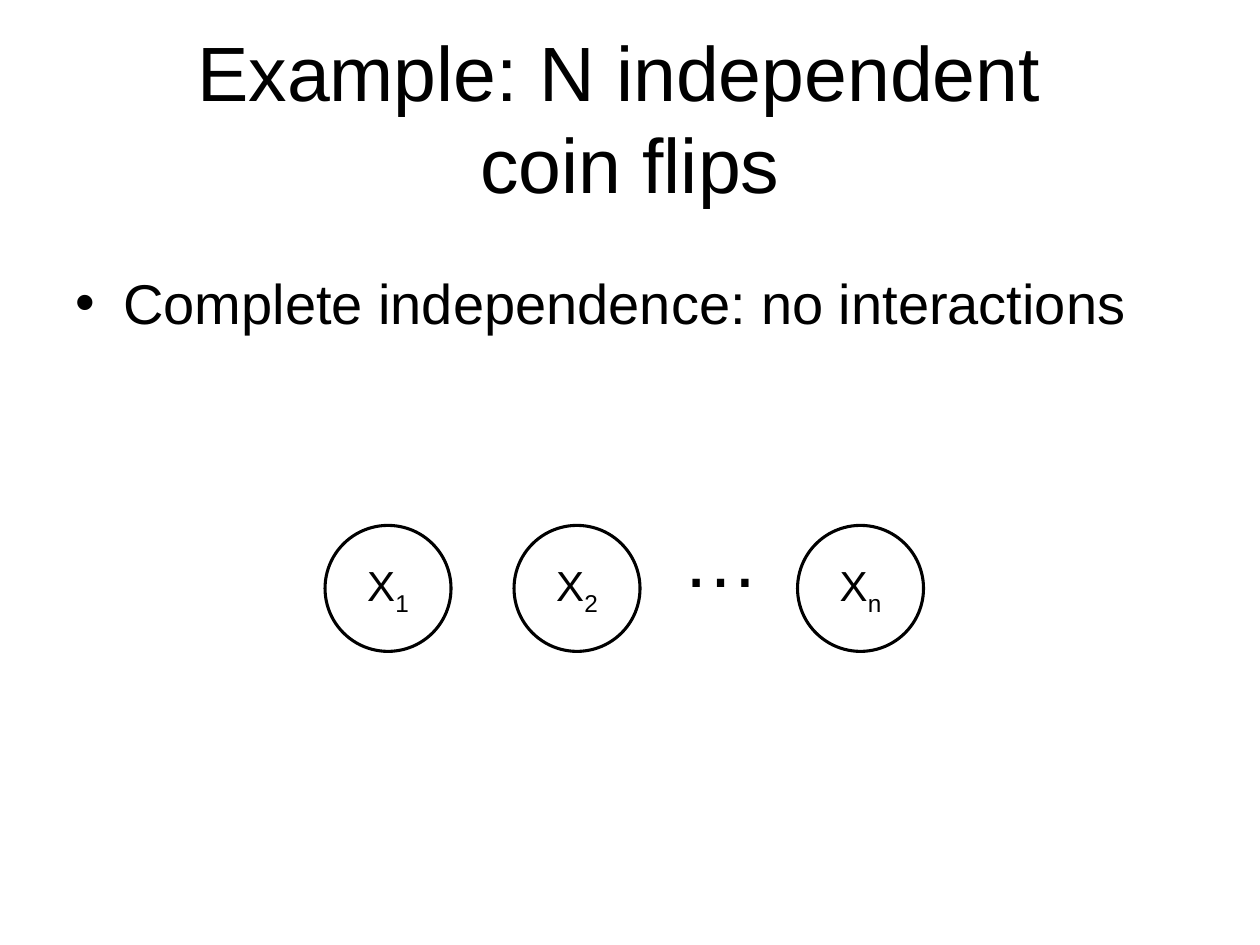
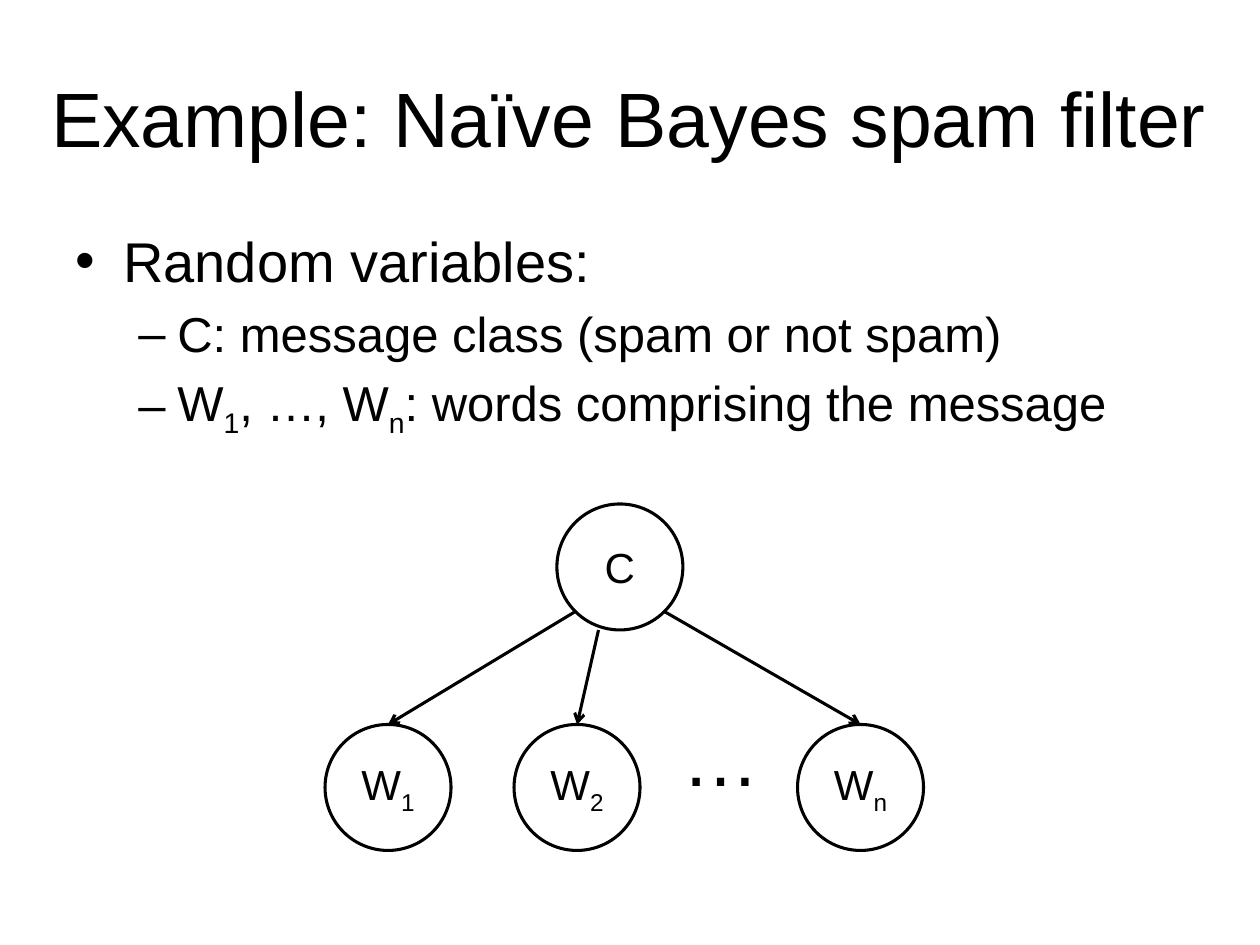
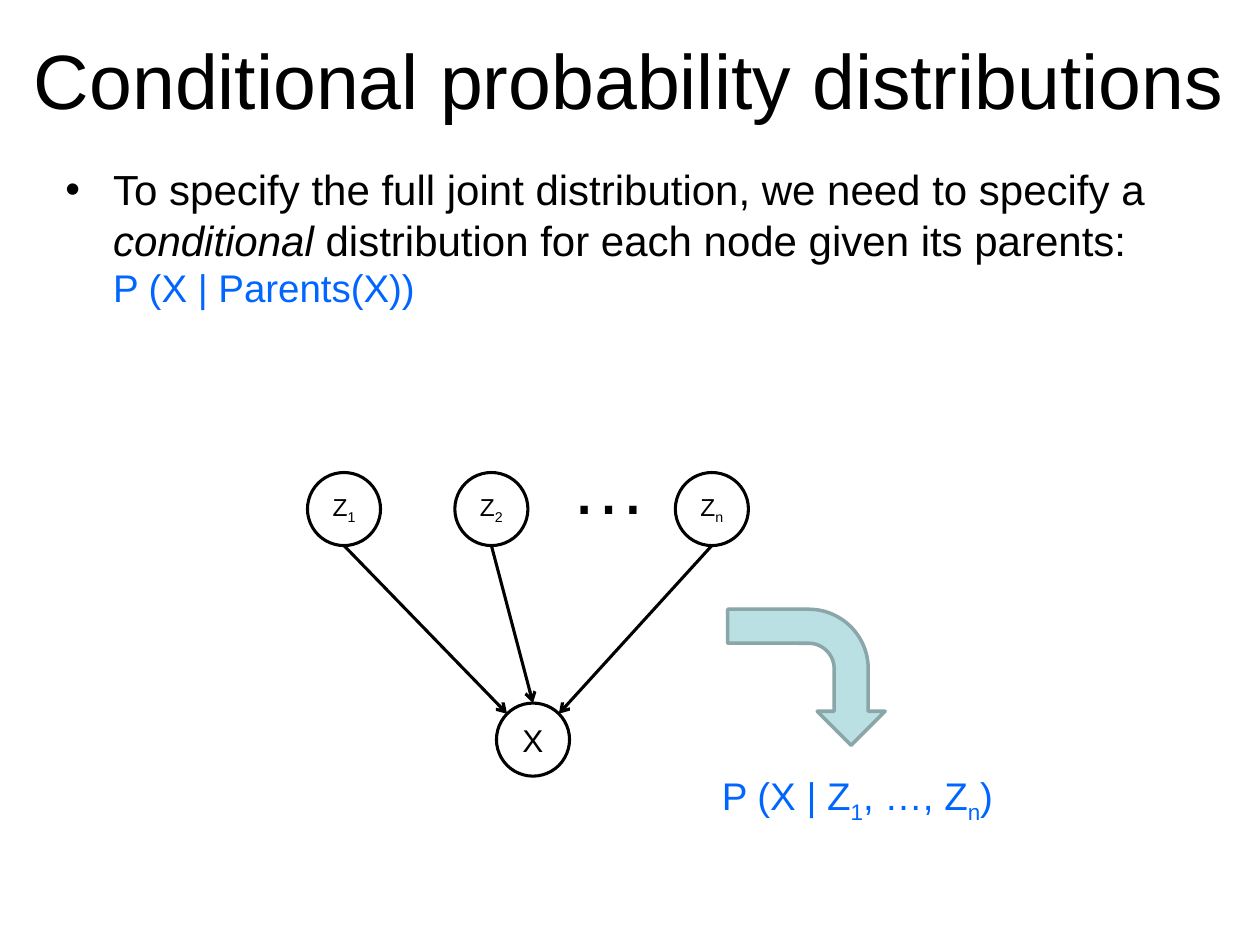
import math

import pptx
import pptx.dml.color
import pptx.enum.shapes
import pptx.enum.text
import pptx.oxml.ns
import pptx.util
from lxml import etree

Inches, Pt = pptx.util.Inches, pptx.util.Pt
RGBColor = pptx.dml.color.RGBColor
SHAPE = pptx.enum.shapes.MSO_SHAPE
LINE = pptx.enum.shapes.MSO_CONNECTOR
ALIGN = pptx.enum.text.PP_ALIGN
ANCHOR = pptx.enum.text.MSO_ANCHOR
SIZING = pptx.enum.text.MSO_AUTO_SIZE
qn = pptx.oxml.ns.qn

BLACK = RGBColor(0x00, 0x00, 0x00)
BLUE = RGBColor(0x00, 0x66, 0xFF)
TEAL = RGBColor(0xBB, 0xE0, 0xE3)
SLATE = RGBColor(0x8A, 0xA6, 0xA8)
FONT = "Arial"
STROKE = Pt(1.75)
DIAG = math.sqrt(0.5)
BULLETS = [("•", 0.38, -0.38), ("–", 0.81, -0.31)]  # mark, margin, indent


def write(par, text, size, color=BLACK, italic=False):
    """Add runs to par; the character after each underscore is a subscript."""
    def add(part, sub=False):
        run = par.add_run()
        run.text = part
        font = run.font
        font.name, font.size, font.italic = FONT, Pt(size), italic
        font.color.rgb = color
        if sub:
            run._r.get_or_add_rPr().set("baseline", "-25000")

    first, *rest = text.split("_")
    add(first)
    for part in rest:
        add(part[0], sub=True)
        if part[1:]:
            add(part[1:])


def indent(par, margin, first):
    props = par._p.get_or_add_pPr()
    props.set("marL", str(Inches(margin)))
    props.set("indent", str(Inches(first)))
    return props


def item(par, size, level=0):
    """Give par the bullet, indent and spacing of its level."""
    mark, margin, first = BULLETS[level]
    par.level = level
    par.space_before = Pt(size * 0.2)
    props = indent(par, margin, first)
    etree.SubElement(props, qn("a:buFont")).set("typeface", FONT)
    etree.SubElement(props, qn("a:buChar")).set("char", mark)


def box(slide, left, top, width, height, wrap=True):
    shape = slide.shapes.add_textbox(*map(Inches, (left, top, width, height)))
    shape.text_frame.word_wrap = wrap
    return shape.text_frame


def title(slide, lines, left, top, width):
    frame = box(slide, left, top, width, 1.25)
    frame.vertical_anchor = ANCHOR.MIDDLE
    par = frame.paragraphs[0]
    par.alignment = ALIGN.CENTER
    for i, line in enumerate(lines):
        if i:
            par.add_line_break()
        write(par, line, 44)


def body(slide, items, left, top, width, height):
    """Place a bullet list; items are (text, size, level)."""
    frame = box(slide, left, top, width, height)
    for i, (text, size, level) in enumerate(items):
        par = frame.add_paragraph() if i else frame.paragraphs[0]
        item(par, size, level)
        write(par, text, size)
    return frame


def node(slide, label, left, top, side, size):
    shape = slide.shapes.add_shape(
        SHAPE.OVAL, *map(Inches, (left, top, side, side)))
    shape.shadow.inherit = False
    shape.fill.background()
    shape.line.color.rgb, shape.line.width = BLACK, STROKE
    frame = shape.text_frame
    frame.vertical_anchor = ANCHOR.MIDDLE
    par = frame.paragraphs[0]
    par.alignment = ALIGN.CENTER
    write(par, label, size)
    return shape


def row(slide, name, left, top, side, size, steps):
    """Place the nodes name_1, name_2 and name_n at the given steps."""
    return [node(slide, f"{name}_{sub}", left + step, top, side, size)
            for sub, step in zip("12n", steps)]


def dots(slide, left, top, width, wrap=True):
    frame = box(slide, left, top, width, 0.84, wrap)
    frame.auto_size = SIZING.SHAPE_TO_FIT_TEXT
    write(frame.paragraphs[0], "…", 44)


def wide(slide, name, top):
    nodes = row(slide, name, 2.58, top, 1, 24, (0, 1.5, 3.75))
    dots(slide, 5.32, top - 0.17, 1.4)
    return nodes


def rim(shape, across, down):
    """Point on a circle, in radii from its centre."""
    half = shape.width / 2
    return (round(shape.left + half * (1 + across)),
            round(shape.top + half * (1 + down)))


def arrow(slide, start, end, top=None):
    """Draw an arrow, joined to the top of a node if one is given."""
    line = slide.shapes.add_connector(LINE.STRAIGHT, *start, *end)
    if top is not None:
        line.end_connect(top, 0)
    line.line.color.rgb, line.line.width = BLACK, STROKE
    stroke = line.line._get_or_add_ln()
    etree.SubElement(stroke, qn("a:tailEnd")).set("type", "arrow")
    etree.SubElement(line._element.spPr, qn("a:effectLst"))


def turn(slide, left, top, width, height):
    shape = slide.shapes.add_shape(
        SHAPE.BENT_ARROW, *map(Inches, (left, top, width, height)))
    shape.rotation = 90
    shape.shadow.inherit = False
    shape.fill.solid()
    shape.fill.fore_color.rgb = TEAL
    shape.line.color.rgb, shape.line.width = SLATE, Pt(2)


def rule(slide, text, left, top, width, height):
    """Place a blue formula."""
    frame = box(slide, left, top, width, height, wrap=False)
    frame.auto_size = SIZING.SHAPE_TO_FIT_TEXT
    par = frame.paragraphs[0]
    par.alignment = ALIGN.CENTER
    par.level = 1
    indent(par, 0.5, 0)
    write(par, text, 22, BLUE)


def coins(slide):
    title(slide, ["Example: N independent ", "coin flips"], 0.5, 0.3, 9)
    body(slide, [("Complete independence: no interactions", 32, 0)],
         0.5, 2.08, 9, 4.62)
    wide(slide, "X", 4.17)


def spam(slide):
    title(slide, ["Example: Naïve Bayes spam filter"], 0.08, 0.3, 9.83)
    body(slide, [("Random variables:", 32, 0),
                 ("C: message class (spam or not spam)", 28, 1),
                 ("W_1, …, W_n: words comprising the message", 28, 1)],
         0.5, 1.75, 9, 4.95)
    words = wide(slide, "W", 5.75)
    root = node(slide, "C", 4.42, 4, 1, 24)
    starts = [(-DIAG, DIAG), (-0.34, 1), (DIAG, DIAG)]
    for word, start in zip(words, starts):
        arrow(slide, rim(root, *start), rim(word, 0, -1), word)


def given(slide):
    title(slide, ["Conditional probability distributions"], 0.08, 0, 9.83)
    lead = "To specify the full joint distribution, we need to specify a "
    par = body(slide, [(lead, 24, 0)], 0.42, 1.25, 9.17, 2.67).paragraphs[0]
    write(par, "conditional", 24, italic=True)
    write(par, " distribution for each node given its parents: ", 24)
    par.add_line_break()
    write(par, "P (X | Parents(X))", 22, BLUE)

    side = 0.58
    heads = row(slide, "Z", 2.44, 3.75, side, 14, (0, 1.17, 2.92))
    child = node(slide, "X", 3.94, 5.58, side, 18)
    ends = [(-DIAG, -DIAG), (0, -1), (DIAG, -DIAG)]
    for head, end in zip(heads, ends):
        arrow(slide, rim(head, 0, 1), rim(child, *end),
              None if end[0] else child)
    dots(slide, 4.43, 3.42, 0.82, wrap=False)
    turn(slide, 5.86, 4.75, 1.08, 1.25)
    rule(slide, "P (X | Z_1, …, Z_n)", 5.11, 6.08, 2.89, 0.47)


def main():
    deck = pptx.Presentation()
    deck.slide_width, deck.slide_height = Inches(10), Inches(7.5)
    for build in (coins, spam, given):
        build(deck.slides.add_slide(deck.slide_layouts[6]))
    deck.save("out.pptx")


if __name__ == "__main__":
    main()
